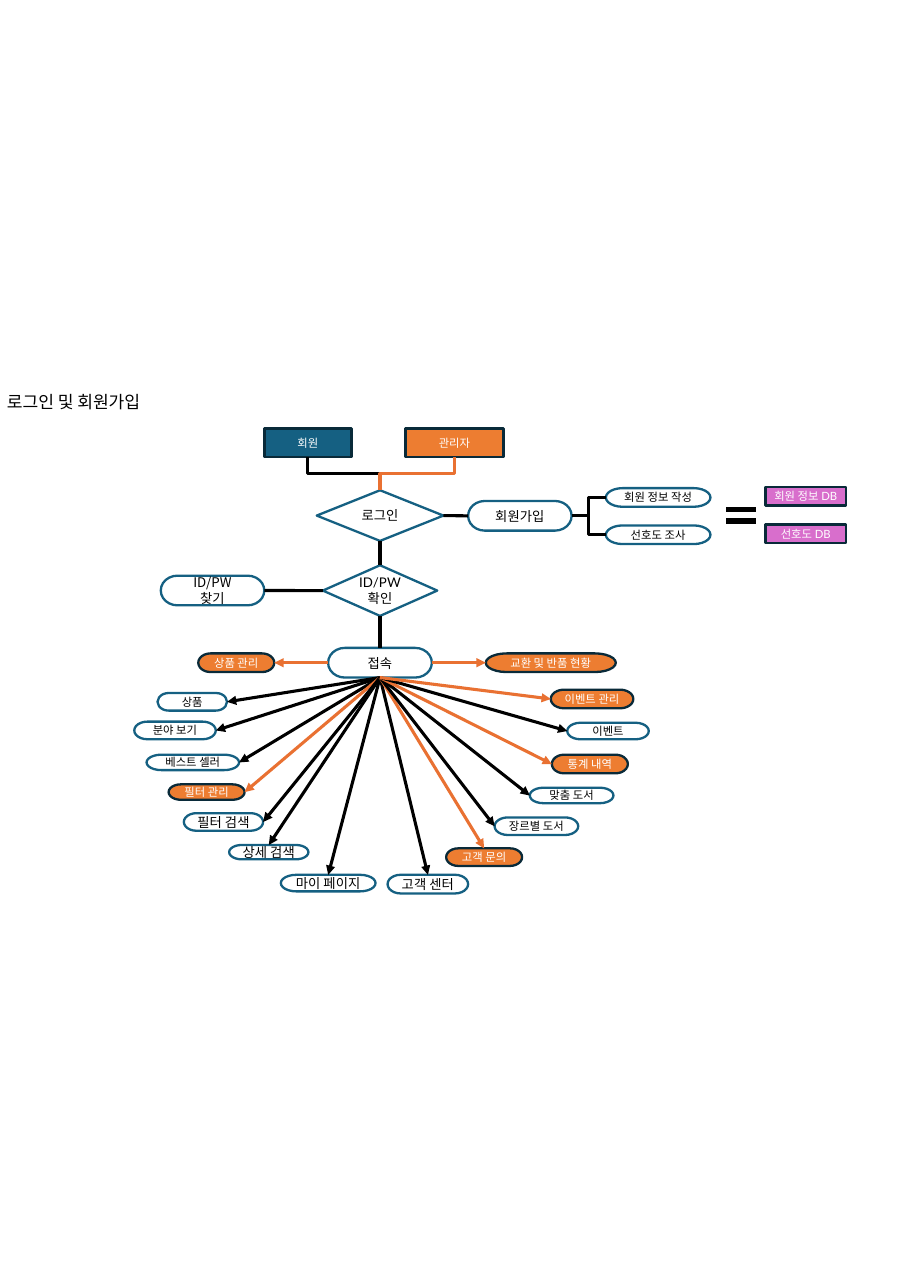
from lxml import etree
from pptx import Presentation
from pptx.dml.color import RGBColor
from pptx.enum.shapes import MSO_CONNECTOR, MSO_SHAPE
from pptx.enum.text import MSO_ANCHOR, PP_ALIGN
from pptx.oxml.ns import qn
from pptx.util import Pt

STRAIGHT, ELBOW = MSO_CONNECTOR.STRAIGHT, MSO_CONNECTOR.ELBOW
RECTANGLE, EQUALS = MSO_SHAPE.RECTANGLE, MSO_SHAPE.MATH_EQUAL
DECISION, TERMINATOR = MSO_SHAPE.FLOWCHART_DECISION, MSO_SHAPE.FLOWCHART_TERMINATOR
CENTER, MIDDLE = PP_ALIGN.CENTER, MSO_ANCHOR.MIDDLE
TOP, LEFT, BOTTOM, RIGHT = range(4)

COLORS = {
    "white": "FFFFFF", "black": "000000", "blue": "156082", "navy": "092A39",
    "orange": "ED7D31", "orange line": "E97132", "pink": "D86ECC",
}
# style: fill, outline, text
STYLES = {
    "page": ("white", "blue", "black"),
    "member": ("blue", "navy", "white"),
    "admin": ("orange", "navy", "white"),
    "database": ("pink", "navy", "white"),
}
LATIN, KOREAN = "Lato", "Noto Sans CJK KR"
SMALL, MEDIUM = 7.4, 8.7

# label, box relative to the bottom centre of the hub, style, text size, joined side
MENU = [
    ("상품 관리", (-118.8, -15.8, 49.7, 12.2), "admin", SMALL, RIGHT),
    ("교환 및 반품 현황", (69.1, -15.8, 85, 12.2), "admin", SMALL, LEFT),
    ("상품", (-145.4, 10.1, 45.4, 11.5), "page", SMALL, RIGHT),
    ("분야 보기", (-160.6, 28.8, 53.3, 11.5), "page", SMALL, RIGHT),
    ("베스트 셀러", (-152.6, 50.4, 60.5, 10.1), "page", SMALL, RIGHT),
    ("필터 관리", (-138.2, 69.8, 49.7, 10.1), "admin", SMALL, RIGHT),
    ("필터 검색", (-128.2, 88.6, 51.8, 11.5), "page", MEDIUM, RIGHT),
    ("상세 검색", (-98.6, 109.4, 51.8, 9.4), "page", MEDIUM, TOP),
    ("마이 페이지", (-64.8, 128.9, 61.9, 10.8), "page", MEDIUM, TOP),
    ("고객 센터", (5, 128.9, 52.6, 12.2), "page", MEDIUM, TOP),
    ("고객 문의", (43.2, 111.6, 49.7, 11.5), "admin", SMALL, TOP),
    ("장르별 도서", (74.9, 91.4, 54.7, 11.5), "page", SMALL, LEFT),
    ("맞춤 도서", (97.9, 72, 54.7, 10.1), "page", SMALL, LEFT),
    ("통계 내역", (112.3, 50.4, 49.7, 12.2), "admin", SMALL, LEFT),
    ("이벤트", (122.4, 29.5, 53.3, 10.8), "page", SMALL, LEFT),
    ("이벤트 관리", (111.6, 7.9, 54, 12.2), "admin", SMALL, LEFT),
]


def color(name):
    return RGBColor.from_string(COLORS[name])


def format_text(frame, size, ink, font):
    for para in frame.paragraphs:
        for span in para.runs:
            span.font.size, span.font.name = Pt(size), font
            span.font.color.rgb = color(ink)
            east_asian = etree.SubElement(span.font._element, qn("a:ea"))
            east_asian.set("typeface", KOREAN)


def add_node(page, kind, label, box, style="page", size=SMALL, font=LATIN):
    fill, outline, ink = STYLES[style]
    node = page.shapes.add_shape(kind, *map(Pt, box))
    node.shadow.inherit = False
    node.fill.solid()
    node.fill.fore_color.rgb = color(fill)
    node.line.color.rgb = color(outline)
    node.line.width = Pt(1.5)
    frame = node.text_frame
    frame.text = label
    frame.word_wrap = True
    frame.vertical_anchor = MIDDLE
    frame.margin_left = frame.margin_right = frame.margin_top = frame.margin_bottom = Pt(2)
    for para in frame.paragraphs:
        para.alignment = CENTER
    format_text(frame, size, ink, font)
    return node


def join(page, start, start_side, end, end_side, ink="black", kind=STRAIGHT, arrow=False):
    link = page.shapes.add_connector(kind, 0, 0, 0, 0)
    link.begin_connect(start, start_side)
    link.end_connect(end, end_side)
    link.line.color.rgb = color(ink)
    link.line.width = Pt(2)
    properties = link._element.spPr
    if arrow:
        etree.SubElement(properties.find(qn("a:ln")), qn("a:tailEnd"), type="triangle")
    etree.SubElement(properties, qn("a:effectLst"))
    return link


def turn_elbow(link):
    """Make a descending elbow leave and arrive vertically."""
    across, down = link.end_x - link.begin_x, link.end_y - link.begin_y
    middle_x, middle_y = link.begin_x + across // 2, link.begin_y + down // 2
    frame = link._element.spPr.find(qn("a:xfrm"))
    frame.attrib.pop("flipH", None)
    if across > 0:
        frame.set("flipH", "1")
    frame.set("rot", "16200000" if across > 0 else "5400000")
    link.width, link.height = down, abs(across)
    link.left, link.top = middle_x - down // 2, middle_y - abs(across) // 2


def add_title(page, left, top, width, height):
    title = page.shapes.add_textbox(Pt(left), Pt(top), Pt(width), Pt(height))
    frame = title.text_frame
    frame.word_wrap = True
    frame.margin_left = frame.margin_right = Pt(4.5)
    frame.margin_top = frame.margin_bottom = Pt(2.3)
    frame.text = "로그인 및 회원가입"
    format_text(frame, 11.2, "black", LATIN)


def add_login(page, axis, top):
    """Place both user roles and the login step around a vertical axis."""
    member = add_node(page, RECTANGLE, "회원", (axis - 75.6, top, 56.9, 18.7), "member")
    admin = add_node(page, RECTANGLE, "관리자", (axis + 16.6, top, 64.1, 18.7), "admin")
    login = add_node(page, DECISION, "로그인", (axis - 41.4, top + 40.3, 82.8, 33.1), size=MEDIUM)
    for role, ink in ((member, "black"), (admin, "orange line")):
        turn_elbow(join(page, role, BOTTOM, login, TOP, ink, ELBOW))
    return login


def add_signup(page, login, left, top):
    signup = add_node(page, TERMINATOR, "회원가입", (left, top + 9, 67.7, 19.4),
                      size=MEDIUM, font=KOREAN)
    join(page, login, RIGHT, signup, LEFT)
    rows = [("회원 정보 작성", "회원 정보 DB"), ("선호도 조사", "선호도 DB")]
    for row, (form_label, data_label) in enumerate(rows):
        row_top = top + 0.6 + row * 24.4
        form = add_node(page, TERMINATOR, form_label, (left + 90, row_top, 68.4, 12.2), font=KOREAN)
        add_node(page, RECTANGLE, data_label, (left + 194.4, row_top - 0.7, 52.6, 12.2), "database")
        join(page, signup, RIGHT, form, LEFT, kind=ELBOW)
    equals = page.shapes.add_shape(EQUALS, Pt(left + 163.4), Pt(top + 9), Pt(29.5), Pt(18.7))
    equals.adjustments[0], equals.adjustments[1] = 0.288, 0.118
    equals.shadow.inherit = False
    equals.fill.solid()
    equals.fill.fore_color.rgb = color("black")
    equals.line.color.rgb = color("white")
    equals.line.width = Pt(2)


def add_check(page, login, axis, top):
    check = add_node(page, DECISION, "ID/PW확인", (axis - 37.4, top, 74.8, 33.1), size=MEDIUM)
    finder = add_node(page, TERMINATOR, "ID/PW\n찾기", (axis - 143.3, top + 6.8, 67.7, 19.4),
                      size=MEDIUM, font=KOREAN)
    join(page, login, BOTTOM, check, TOP)
    join(page, check, LEFT, finder, RIGHT)
    return check


def add_menu(page, check, axis, top):
    """Place the access hub and fan its destinations out below it."""
    hub = add_node(page, TERMINATOR, "접속", (axis - 33.9, top, 67.8, 19.4),
                   size=MEDIUM, font=KOREAN)
    join(page, check, BOTTOM, hub, TOP)
    for label, (across, down, width, height), style, size, side in MENU:
        box = (axis + across, top + 19.4 + down, width, height)
        target = add_node(page, TERMINATOR, label, box, style, size)
        hub_side = BOTTOM
        if down < 0:
            hub_side = LEFT if across < 0 else RIGHT
        ink = "orange line" if style == "admin" else "black"
        join(page, hub, hub_side, target, side, ink, arrow=True)


def main():
    deck = Presentation()
    deck.slide_width, deck.slide_height = Pt(595.44), Pt(841.68)
    page = deck.slides.add_slide(deck.slide_layouts[6])
    axis = 248.4
    add_title(page, 0, 253.4, 134, 18)
    login = add_login(page, axis, 280.1)
    add_signup(page, login, 306, 318.4)
    check = add_check(page, login, axis, 369.4)
    add_menu(page, check, axis, 423.4)
    deck.save("out.pptx")


if __name__ == "__main__":
    main()
